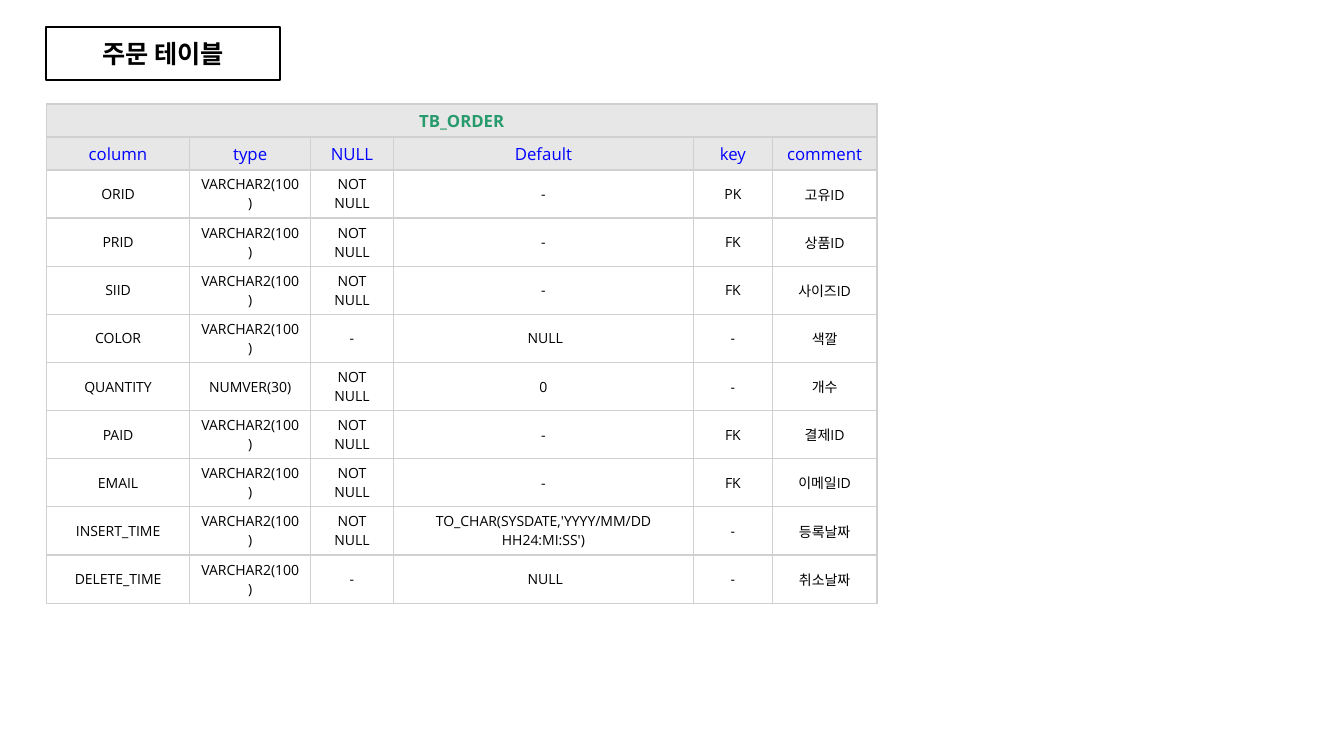
"""Build the order table definition slide."""
from lxml.etree import SubElement
from pptx import Presentation
from pptx.dml.color import RGBColor
from pptx.enum.text import MSO_ANCHOR, MSO_AUTO_SIZE, PP_ALIGN
from pptx.oxml.ns import qn
from pptx.util import Cm, Pt

FONT = "Open Sans"
LEFT = Cm(1.17)
BORDER_COLOR = "D0D0D0"
COLUMN_WIDTHS = [3.61, 3.05, 2.08, 7.57, 1.98, 2.64]
HEADER_ROWS = 2
HEADER_HEIGHT, BODY_HEIGHT = Cm(0.83), Cm(1.21)
TEXT_TYPE = "VARCHAR2(100)"
REQUIRED = "NOT NULL"

ROWS = [
    ["TB_ORDER", "", "", "", "", ""],
    ["column", "type", "NULL", "Default", "key", "comment"],
    ["ORID", TEXT_TYPE, REQUIRED, "-", "PK", "고유ID"],
    ["PRID", TEXT_TYPE, REQUIRED, "-", "FK", "상품ID"],
    ["SIID", TEXT_TYPE, REQUIRED, "-", "FK", "사이즈ID"],
    ["COLOR", TEXT_TYPE, "-", " NULL", "-", "색깔"],
    ["QUANTITY", "NUMVER(30)", REQUIRED, "0", "-", "개수"],
    ["PAID", TEXT_TYPE, REQUIRED, "-", "FK", "결제ID"],
    ["EMAIL", TEXT_TYPE, REQUIRED, "-", "FK", "이메일ID"],
    ["INSERT_TIME", TEXT_TYPE, REQUIRED, "TO_CHAR(SYSDATE,'YYYY/MM/DD HH24:MI:SS')", "-", "등록날짜"],
    ["DELETE_TIME", TEXT_TYPE, "-", " NULL", "-", "취소날짜"],
]
HEADER_STYLES = [
    {"size": 12, "color": "289B6E", "bold": True},
    {"size": 12, "color": "0000FF"},
]
BODY_STYLE = {"size": 10}


def paint(color_format, value):
    """Apply a hex colour."""
    color_format.rgb = RGBColor.from_string(value)


def write(frame, text, size=10, color="000000", bold=False):
    """Write one centred, formatted line into a text frame."""
    para = frame.paragraphs[0]
    para.alignment = PP_ALIGN.CENTER
    span = para.add_run()
    span.text = text
    span.font.name = FONT
    span.font.size = Pt(size)
    span.font.bold = bold
    paint(span.font.color, color)


deck = Presentation()
deck.slide_width, deck.slide_height = Cm(33.87), Cm(19.05)
page = deck.slides.add_slide(deck.slide_layouts[5])

title = page.shapes.title
title.left, title.top, title.width, title.height = LEFT, Cm(0.69), Cm(5.89), Cm(1.32)
outline = SubElement(title.element.spPr, qn("a:prstGeom"), prst="roundRect")
SubElement(outline, qn("a:avLst"))
title.fill.solid()
paint(title.fill.fore_color, "FFFFFF")
title.line.width = Pt(1.5)
paint(title.line.color, "000000")
title.text_frame.auto_size = MSO_AUTO_SIZE.NONE
title.text_frame.vertical_anchor = MSO_ANCHOR.MIDDLE
write(title.text_frame, "주문 테이블", size=18, bold=True)

table_height = HEADER_ROWS * HEADER_HEIGHT + (len(ROWS) - HEADER_ROWS) * BODY_HEIGHT
table = page.shapes.add_table(
    len(ROWS), len(COLUMN_WIDTHS), LEFT, Cm(2.62), Cm(sum(COLUMN_WIDTHS)), table_height
).table
table.horz_banding = False
for column, width in zip(table.columns, COLUMN_WIDTHS):
    column.width = Cm(width)

for row_index, texts in enumerate(ROWS):
    is_header = row_index < HEADER_ROWS
    style = HEADER_STYLES[row_index] if is_header else BODY_STYLE
    table.rows[row_index].height = HEADER_HEIGHT if is_header else BODY_HEIGHT
    for column_index, text in enumerate(texts):
        cell = table.cell(row_index, column_index)
        cell.vertical_anchor = MSO_ANCHOR.MIDDLE
        properties = cell._tc.get_or_add_tcPr()
        for side in ("lnL", "lnR", "lnT", "lnB"):
            edge = SubElement(properties, qn(f"a:{side}"), w=str(Pt(1)))
            edge_fill = SubElement(edge, qn("a:solidFill"))
            SubElement(edge_fill, qn("a:srgbClr"), val=BORDER_COLOR)
        cell.fill.solid()
        paint(cell.fill.fore_color, "E7E7E7" if is_header else "FFFFFF")
        if text:
            write(cell.text_frame, text, **style)

table.cell(0, 0).merge(table.cell(0, len(COLUMN_WIDTHS) - 1))
deck.save("out.pptx")
